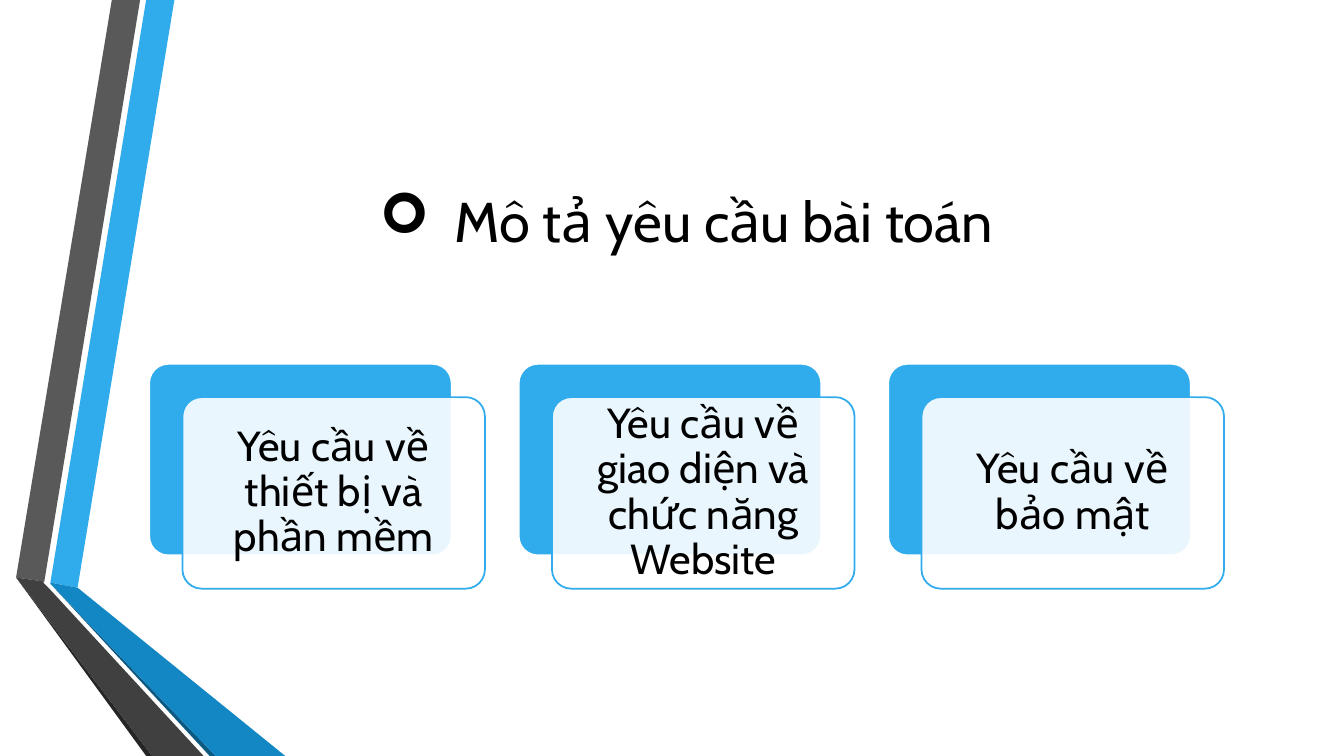
import lxml.etree
import pptx
import pptx.dml.color
import pptx.enum.shapes
import pptx.enum.text
import pptx.oxml.ns
import pptx.util

Inches = pptx.util.Inches
Pt = pptx.util.Pt
qn = pptx.oxml.ns.qn

COLORS = {
    "blue": "30ACEC", "deep blue": "1287C3", "navy": "0C5A82",
    "gray": "595959", "dark gray": "404040", "charcoal": "262626",
    "white": "FFFFFF", "black": "000000",
}


def paint(shape, fill, line=None):
    shape.shadow.inherit = False
    shape.fill.solid()
    shape.fill.fore_color.rgb = pptx.dml.color.RGBColor.from_string(COLORS[fill])
    if line:
        shape.line.color.rgb = pptx.dml.color.RGBColor.from_string(COLORS[line])
        shape.line.width = Pt(1.25)
    else:
        shape.line.fill.background()


def write(shape, text, size):
    """Put one centred black paragraph in the shape and return it."""
    frame = shape.text_frame
    frame.word_wrap = True
    frame.vertical_anchor = pptx.enum.text.MSO_ANCHOR.MIDDLE
    para = frame.paragraphs[0]
    para.text = text
    para.alignment = pptx.enum.text.PP_ALIGN.CENTER
    font = para.runs[0].font
    font.name = "Cabin"
    font.size = Pt(size)
    font.color.rgb = pptx.dml.color.RGBColor.from_string(COLORS["black"])
    return para


deck = pptx.Presentation()
deck.slide_width = Inches(13.33)
deck.slide_height = Inches(7.5)
page = deck.slides.add_slide(deck.slide_layouts[6])

# Folded ribbons on the left edge, in hundredths of an inch
ribbons = [
    ("blue", [(50, 578), (77, 583), (173, 0), (145, 0)]),
    ("gray", [(139, 0), (111, 0), (16, 573), (44, 577)]),
    ("charcoal", [(16, 573), (145, 750), (151, 750)]),
    ("navy", [(50, 579), (208, 750), (214, 750)]),
    ("deep blue", [(50, 578), (50, 579), (214, 750), (283, 750), (77, 583)]),
    ("dark gray", [(202, 750), (48, 583), (43, 578), (44, 577), (16, 573), (151, 750)]),
]
for color, points in ribbons:
    builder = page.shapes.build_freeform(*points[0], scale=Inches(0.01))
    builder.add_line_segments(points[1:], close=True)
    paint(builder.convert_to_shape(), color)

# Title with an arrow bullet
left = 1.48
title = page.shapes.add_textbox(Inches(left), Inches(1.43), Inches(10.65), Inches(1.51))
title_para = write(title, " Mô tả yêu cầu bài toán", 40)
properties = title_para._p.get_or_add_pPr()
properties.set("marL", str(Inches(0.62)))
properties.set("indent", str(-Inches(0.62)))
bullet_font = lxml.etree.SubElement(properties, qn("a:buFont"))
bullet_font.set("typeface", "Wingdings")
bullet = lxml.etree.SubElement(properties, qn("a:buChar"))
bullet.set("char", "➢")

# Three cards, each a white panel shifted over a blue one
top, pitch, shift = 3.61, 3.665, 0.33
card_width, card_height = 3, 1.9
requirements = [
    "Yêu cầu về thiết bị và phần mềm",
    "Yêu cầu về giao diện và chức năng Website",
    "Yêu cầu về bảo mật",
]
for column, requirement in enumerate(requirements):
    for offset, fill, line in [(0, "blue", "white"), (shift, "white", "blue")]:
        card = page.shapes.add_shape(
            pptx.enum.shapes.MSO_SHAPE.ROUNDED_RECTANGLE,
            Inches(left + column * pitch + offset), Inches(top + offset),
            Inches(card_width), Inches(card_height))
        card.adjustments[0] = 0.1
        paint(card, fill, line)

    # The front panel is slightly see-through and carries the text
    panel_color = card.fill._xPr.find(qn("a:solidFill"))[0]
    lxml.etree.SubElement(panel_color, qn("a:alpha")).set("val", "90000")
    frame = card.text_frame
    frame.margin_left = frame.margin_right = Inches(0.16)
    frame.margin_top = frame.margin_bottom = Inches(0.16)
    card_para = write(card, requirement, 30)
    card_para.line_spacing = 0.9

deck.save("out.pptx")
